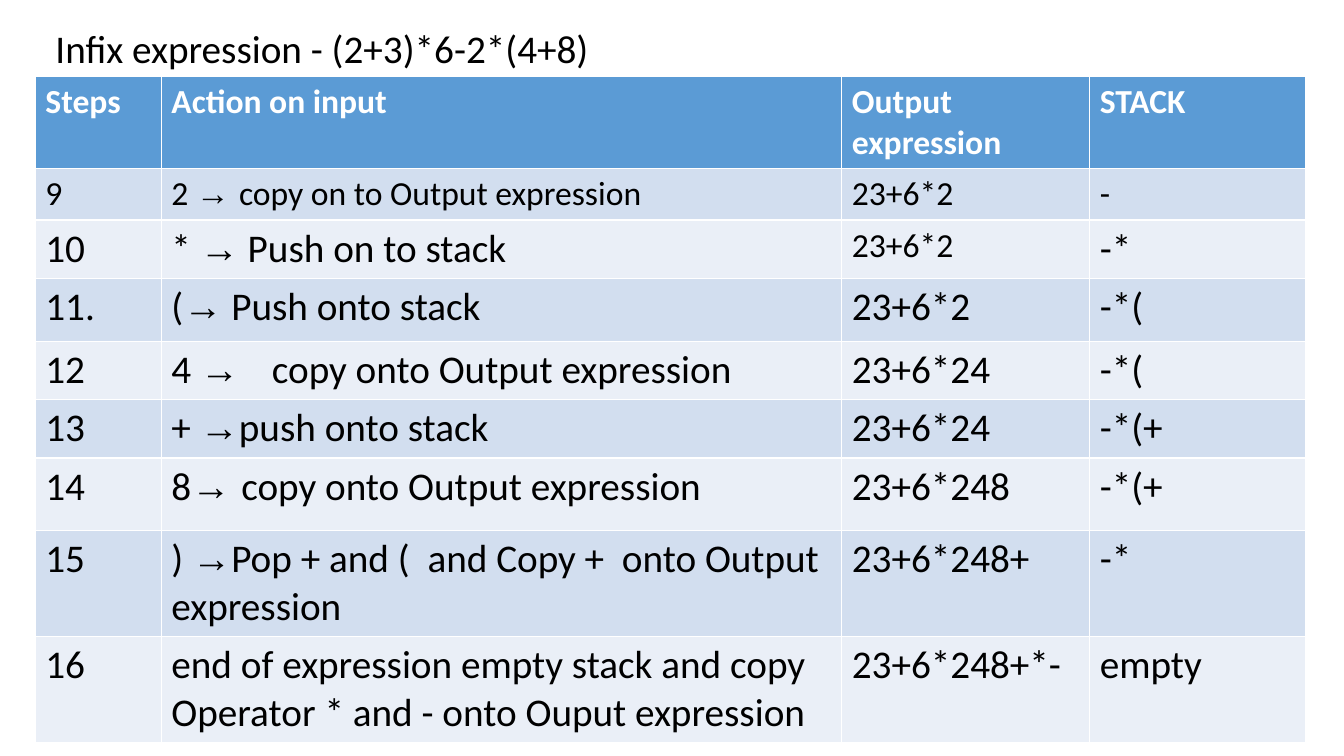
import pptx
import pptx.util
import pptx.dml.color
import pptx.enum.text

COLORS = {"header": "5B9BD5", "odd": "D2DEEF", "even": "EAEFF7", "white": "FFFFFF", "black": "000000"}

presentation = pptx.Presentation()
presentation.slide_width = pptx.util.Inches(13.33)
presentation.slide_height = pptx.util.Inches(7.5)
column_unit = presentation.slide_width / 100
row_unit = presentation.slide_height / 100


def place(columns, rows, column_span, row_span):
    return [int(columns * column_unit), int(rows * row_unit), int(column_span * column_unit), int(row_span * row_unit)]


def add_run(paragraph, text, size, color, bold=False, name="Calibri"):
    run = paragraph.add_run()
    run.text = text
    for attribute, value in {"size": pptx.util.Pt(size), "bold": bold, "name": name}.items():
        setattr(run.font, attribute, value)
    run.font.color.rgb = pptx.dml.color.RGBColor.from_string(COLORS[color])


slide = presentation.slides.add_slide(presentation.slide_layouts[5])

title = slide.shapes.title
title.left, title.top, title.width, title.height = place(3.38, 2.53, 57.38, 7.6)
title_format = {
    "word_wrap": True,
    "auto_size": pptx.enum.text.MSO_AUTO_SIZE.NONE,
    "vertical_anchor": pptx.enum.text.MSO_ANCHOR.TOP,
}
for attribute, value in title_format.items():
    setattr(title.text_frame, attribute, value)
title_paragraph = title.text_frame.paragraphs[0]
title_paragraph.alignment = pptx.enum.text.PP_ALIGN.LEFT
add_run(title_paragraph, "Infix expression - (2+3)*6-2*(4+8)", 28, "black")

steps = [
    ["Steps", ["Action on input"], "Output expression", "STACK"],
    ["9", ["2 ", "→ ", "copy on to Output expression"], "23+6*2", "-"],
    ["10", ["* ", "→", " Push on to stack"], "23+6*2", "-*"],
    ["11.", ["(", "→", " Push onto stack"], "23+6*2", "-*("],
    ["12", ["4 ", "→   ", "copy onto Output expression"], "23+6*24", "-*("],
    ["13", ["+ ", "→", "push onto stack"], "23+6*24", "-*(+"],
    ["14", ["8", "→ ", "copy onto Output expression"], "23+6*248", "-*(+"],
    ["15", [") ", "→", "Pop + and (  and Copy +  onto Output expression"], "23+6*248+", "-*"],
    ["16", ["end of expression empty stack and copy Operator * and - onto Ouput expression"], "23+6*248+*-", "empty"],
]
column_spans = [9.38, 50.63, 18.45, 16.05]
row_spans = [11.73, 6.8, 7.6, 8.4, 7.6, 7.73, 9.6, 13.73, 13.73]

table = slide.shapes.add_table(
    len(steps), len(column_spans), *place(2.63, 10.13, sum(column_spans), sum(row_spans))
).table
for column, span in zip(table.columns, column_spans):
    column.width = int(span * column_unit)
for row, span in zip(table.rows, row_spans):
    row.height = int(span * row_unit)

for row_index, step in enumerate(steps):
    header = row_index == 0
    fill = "header" if header else ("even", "odd")[row_index % 2]
    for column_index, content in enumerate(step):
        cell = table.cell(row_index, column_index)
        cell.fill.solid()
        cell.fill.fore_color.rgb = pptx.dml.color.RGBColor.from_string(COLORS[fill])
        small = row_index < 2 or (row_index, column_index) == (2, 2)
        pieces = content if column_index == 1 else [content]
        for piece in pieces:
            add_run(
                cell.text_frame.paragraphs[0],
                piece,
                24 if small else 28,
                "white" if header else "black",
                header,
                "Arial" if "→" in piece else "Calibri",
            )

presentation.save("out.pptx")
